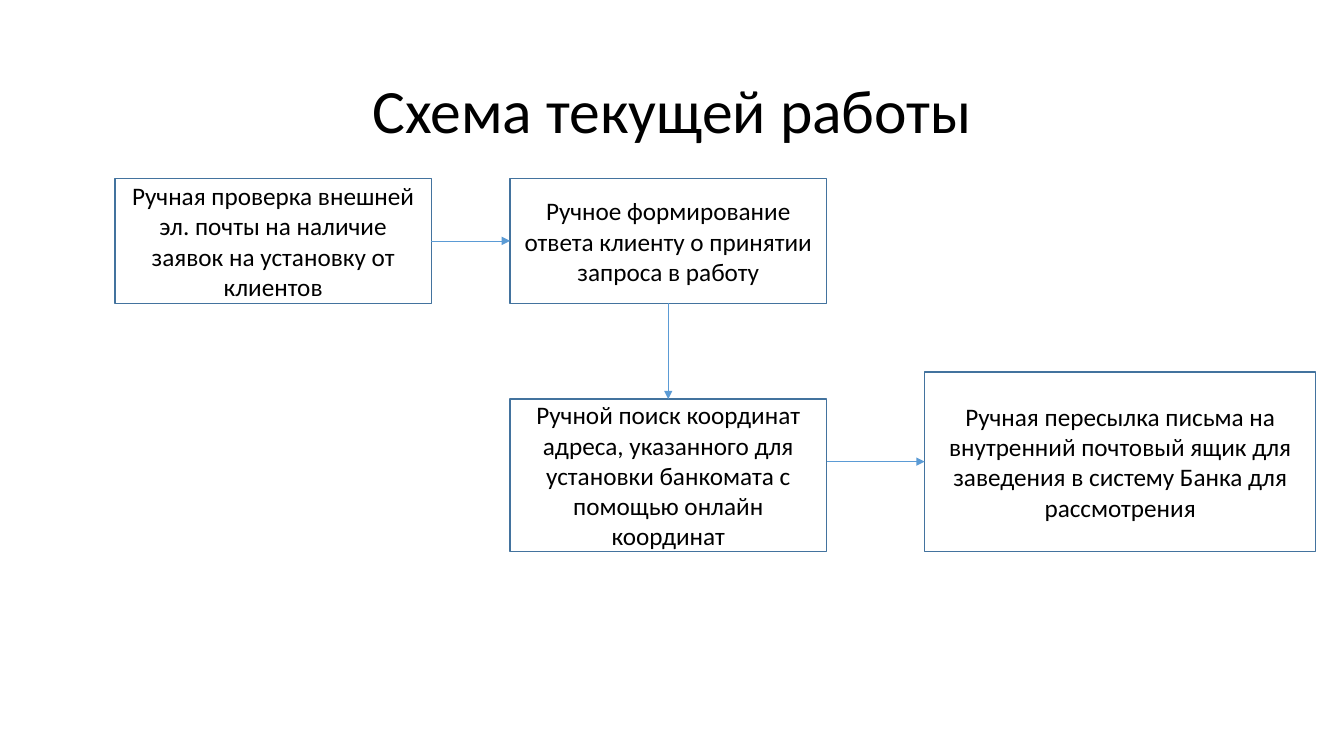
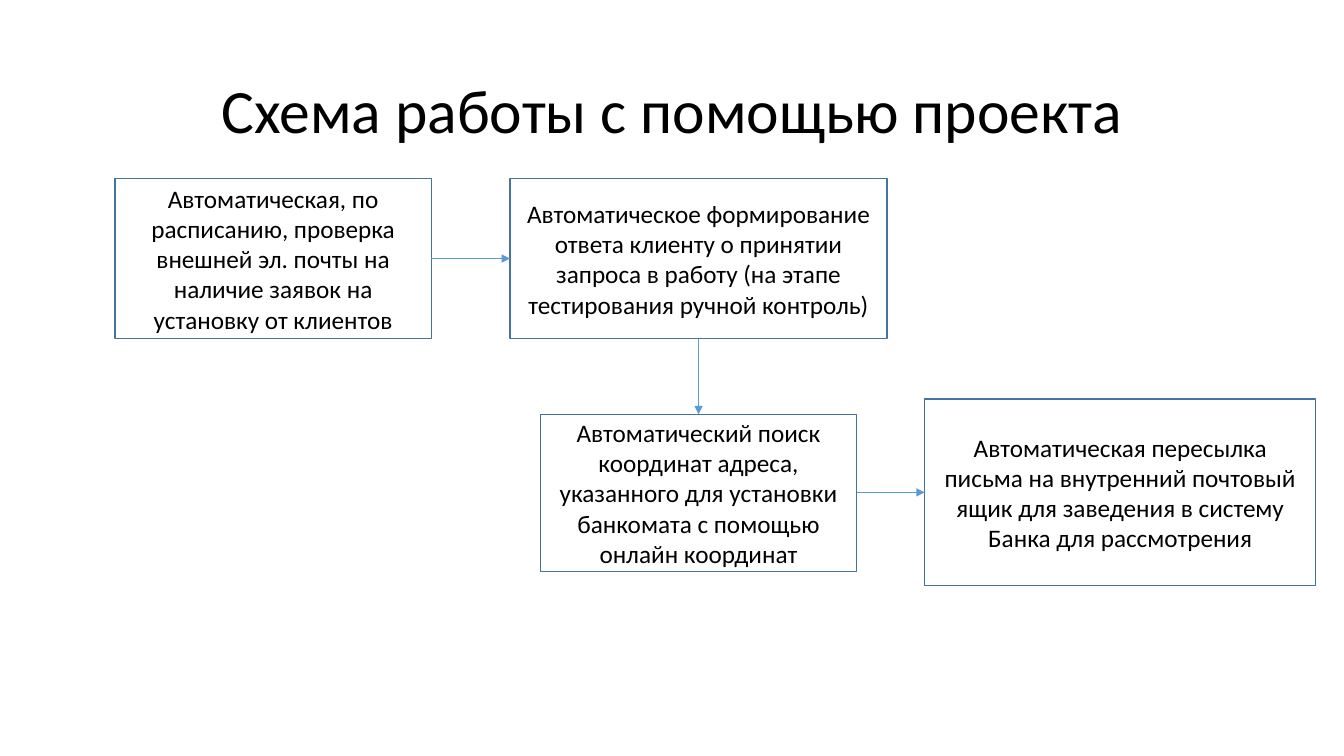
"""Build two flow charts of request handling, before and after the project."""
import dataclasses

import lxml.etree
import pptx
import pptx.dml.color
import pptx.enum.shapes
import pptx.enum.text
import pptx.oxml.ns
import pptx.util


@dataclasses.dataclass(frozen=True)
class Theme:
    wide: float = 13.33
    high: float = 7.5
    font: str = "Calibri"
    head: int = 44
    body: int = 18
    ink: str = "000000"
    fill: str = "FFFFFF"
    edge: str = "43739E"
    link: str = "5B9BD5"
    rim: float = 1
    thin: float = 0.5


LOOK = Theme()
HEAD = (6.9, 5.33, 86.27, 19.33)
LEFT, MID, RIGHT = 8.55, 37.95, 68.8
TOP = 23.6
SLIM, BROAD = 23.55, 29.1

FLOWS = [
    ("Схема текущей работы", [
        ((LEFT, TOP, SLIM, 16.53),
         "Ручная проверка внешней эл. почты на наличие заявок на установку от клиентов"),
        ((MID, TOP, SLIM, 16.53),
         "Ручное формирование ответа клиенту о принятии запроса в работу"),
        ((MID, 52.8, SLIM, 20.13),
         "Ручной поиск координат адреса, указанного для установки банкомата "
         "с помощью онлайн координат"),
        ((RIGHT, 49.2, BROAD, 23.73),
         "Ручная пересылка письма на внутренний почтовый ящик для заведения "
         "в систему Банка для рассмотрения"),
    ]),
    ("Схема работы с помощью проекта", [
        ((LEFT, TOP, SLIM, 21.2),
         "Автоматическая, по расписанию, проверка внешней эл. почты на наличие "
         "заявок на установку от клиентов"),
        ((MID, TOP, 28.05, 21.2),
         "Автоматическое формирование ответа клиенту о принятии запроса в работу "
         "(на этапе тестирования ручной контроль)"),
        ((40.2, 54.8, SLIM, 20.8),
         "Автоматический поиск координат адреса, указанного для установки банкомата "
         "с помощью онлайн координат"),
        ((RIGHT, 52.8, BROAD, 24.67),
         "Автоматическая пересылка письма на внутренний почтовый ящик для заведения "
         "в систему Банка для рассмотрения"),
    ]),
]


def tint(code):
    return pptx.dml.color.RGBColor.from_string(code)


def place(x, y):
    """Turn percent shares of the slide into lengths."""
    return (pptx.util.Inches(LOOK.wide * x / 100),
            pptx.util.Inches(LOOK.high * y / 100))


def write(frame, text, size):
    frame.word_wrap = True
    frame.vertical_anchor = pptx.enum.text.MSO_ANCHOR.MIDDLE
    para = frame.paragraphs[0]
    para.alignment = pptx.enum.text.PP_ALIGN.CENTER
    run = para.add_run()
    run.text = text
    run.font.name = LOOK.font
    run.font.size = pptx.util.Pt(size)
    run.font.color.rgb = tint(LOOK.ink)
    return para


def add_box(slide, area, text):
    x, y, w, h = area
    box = slide.shapes.add_shape(
        pptx.enum.shapes.MSO_SHAPE.RECTANGLE, *place(x, y), *place(w, h))
    box.shadow.inherit = False
    box.fill.solid()
    box.fill.fore_color.rgb = tint(LOOK.fill)
    box.line.color.rgb = tint(LOOK.edge)
    box.line.width = pptx.util.Pt(LOOK.rim)
    write(box.text_frame, text, LOOK.body)
    return box


def add_link(slide, start, end):
    link = slide.shapes.add_connector(
        pptx.enum.shapes.MSO_CONNECTOR.STRAIGHT, *start, *end)
    link.line.color.rgb = tint(LOOK.link)
    link.line.width = pptx.util.Pt(LOOK.thin)
    qn = pptx.oxml.ns.qn
    tail = lxml.etree.SubElement(link.line._get_or_add_ln(), qn("a:tailEnd"))
    tail.set("type", "triangle")
    lxml.etree.SubElement(link._element.spPr, qn("a:effectLst"))


def link_right(slide, box, goal):
    y = goal.top + goal.height // 2
    add_link(slide, (box.left + box.width, y), (goal.left, y))


def link_down(slide, box, goal):
    x = box.left + box.width // 2
    add_link(slide, (x, box.top + box.height), (x, goal.top))


def add_flow(deck, layout, title, steps):
    slide = deck.slides.add_slide(layout)
    para = write(slide.shapes.title.text_frame, title, LOOK.head)
    para.line_spacing = 0.9
    check, reply, search, send = [add_box(slide, *step) for step in steps]
    link_right(slide, check, reply)
    link_down(slide, reply, search)
    link_right(slide, search, send)


def main():
    deck = pptx.Presentation()
    deck.slide_width, deck.slide_height = place(100, 100)
    layout = deck.slide_layouts.get_by_name("Title Only")
    head = layout.placeholders[0]
    head.left, head.top = place(*HEAD[:2])
    head.width, head.height = place(*HEAD[2:])
    for title, steps in FLOWS:
        add_flow(deck, layout, title, steps)
    deck.save("out.pptx")


if __name__ == "__main__":
    main()
